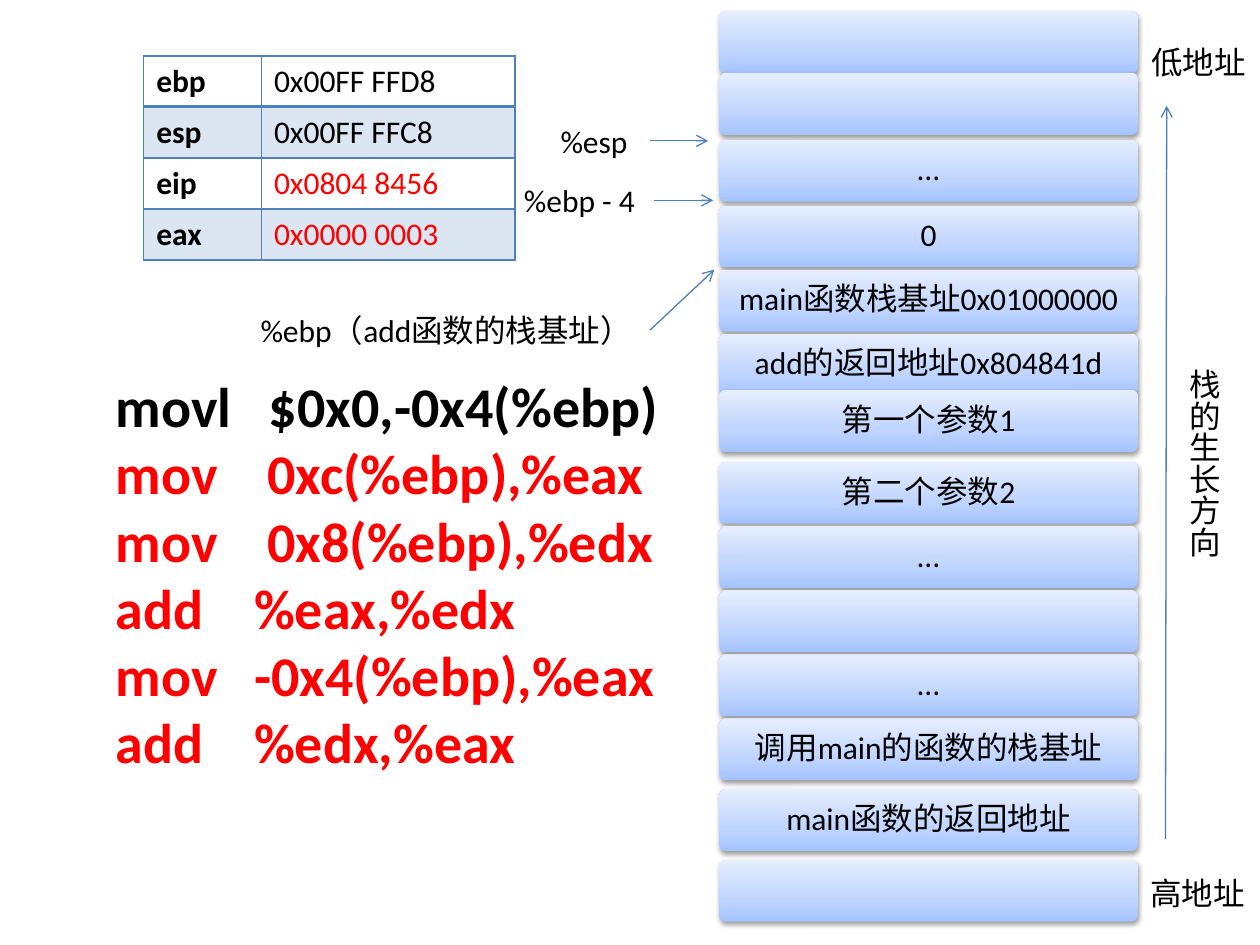
from copy import deepcopy
from lxml.etree import SubElement
from pptx import Presentation
from pptx.dml.color import RGBColor
from pptx.enum.shapes import MSO_CONNECTOR as CONN, MSO_SHAPE as SHAPE
from pptx.enum.text import MSO_ANCHOR as ANCHOR, PP_ALIGN as ALIGN
from pptx.oxml.ns import qn
from pptx.util import Pt

BLACK, RED, BLUE, PALE, ARROW = "000000", "FF0000", "4F81BD", "DCE6F2", "4B7EBC"
BLOCK_STOPS = [(0, "A4C4FF"), (0.35, "BFD4FF"), (1, "E6EEFF")]


def rgb(value):
    """Turn a hex string into a colour."""
    return RGBColor.from_string(value)


def sub(parent, tag, **attrs):
    """Add a DrawingML child element with the given attributes."""
    return SubElement(parent, qn("a:" + tag), {k: str(v) for k, v in attrs.items()})


class StackSlide:
    """Holds the text style and the current slide; lengths are in points."""

    font, size = "Calibri", 18

    def __init__(self, prs):
        """Start a title-only slide."""
        self.s = prs.slides.add_slide(prs.slide_layouts[5])

    def run(self, p, text, color=BLACK, bold=False, size=None):
        """Add one styled run to a paragraph."""
        r = p.add_run()
        r.text = text
        r.font.name, r.font.size, r.font.bold = self.font, Pt(size or self.size), bold
        r.font.color.rgb = rgb(color)

    def code(self, box, lines):
        """Fill the title with tabbed instructions."""
        sp = self.s.shapes.title
        sp.left, sp.top, sp.width, sp.height = map(Pt, box)
        tf = sp.text_frame
        tf.word_wrap, tf.vertical_anchor = True, ANCHOR.MIDDLE
        for i, (op, args, tab, color) in enumerate(lines):
            p = tf.add_paragraph() if i else tf.paragraphs[0]
            p.alignment = ALIGN.LEFT
            tabs = sub(p._p.get_or_add_pPr(), "tabLst")
            sub(tabs, "tab", pos=Pt(tab), algn="l")
            self.run(p, op + "\t" + args, color, True, 32)

    def label(self, text, box, wrap=True, vert=None):
        """Add a plain text label, optionally with vertical text."""
        tf = self.s.shapes.add_textbox(*map(Pt, box)).text_frame
        tf.word_wrap = wrap
        if vert:
            tf._txBody.bodyPr.set("vert", vert)
        self.run(tf.paragraphs[0], text)

    def block(self, text, box):
        """Add one stack cell with a gradient and a soft shadow."""
        sp = self.s.shapes.add_shape(SHAPE.ROUNDED_RECTANGLE, *map(Pt, box))
        sp.adjustments[0] = 0.1
        sp.line.fill.background()
        sp.fill.gradient()
        sp.fill.gradient_angle = 90
        spPr = sp._element.spPr
        stops = spPr.find(".//" + qn("a:gsLst"))
        stops.insert(1, deepcopy(stops[0]))
        for stop, (pos, color) in zip(sp.fill.gradient_stops, BLOCK_STOPS):
            stop.position, stop.color.rgb = pos, rgb(color)
        sp.shadow.inherit = False
        shadow = sub(spPr.find(qn("a:effectLst")), "outerShdw", blurRad=Pt(3.1),
                     dist=Pt(1.6), dir=5400000, rotWithShape=0)
        sub(sub(shadow, "srgbClr", val=BLACK), "alpha", val=38000)
        if text:
            tf = sp.text_frame
            tf.word_wrap, tf.vertical_anchor = True, ANCHOR.MIDDLE
            tf.margin_left = tf.margin_right = tf.margin_top = tf.margin_bottom = Pt(6.5)
            p = tf.paragraphs[0]
            p.alignment, p.line_spacing = ALIGN.CENTER, 0.9
            self.run(p, text)

    def arrow(self, x1, y1, x2, y2):
        """Draw a thin line with an open head at its end."""
        c = self.s.shapes.add_connector(CONN.STRAIGHT, Pt(x1), Pt(y1), Pt(x2), Pt(y2))
        c.line.width, c.line.color.rgb = Pt(0.75), rgb(ARROW)
        sub(c.line._get_or_add_ln(), "tailEnd", type="arrow")
        sub(c._element.spPr, "effectLst")

    def registers(self, rows, x, y, widths, height):
        """Add the banded register table."""
        frame = self.s.shapes.add_table(len(rows), len(widths), Pt(x), Pt(y),
                                        Pt(sum(widths)), Pt(height * len(rows)))
        table = frame.table
        for col, width in zip(table.columns, widths):
            col.width = Pt(width)
        for i, (name, value, color) in enumerate(rows):
            table.rows[i].height = Pt(height)
            self.cell(table.cell(i, 0), name, BLACK, True, i)
            self.cell(table.cell(i, 1), value, color, False, i)

    def cell(self, cell, text, color, bold, row):
        """Write one cell with its borders and band."""
        self.run(cell.text_frame.paragraphs[0], text, color, bold)
        tcPr = cell._tc.get_or_add_tcPr()
        thick = {"lnT": row == 1, "lnB": row == 0}
        for side in ("lnL", "lnR", "lnT", "lnB"):
            ln = sub(tcPr, side, w=Pt(2 if thick.get(side) else 1))
            sub(sub(ln, "solidFill"), "srgbClr", val=BLUE)
        if row % 2:
            cell.fill.solid()
            cell.fill.fore_color.rgb = rgb(PALE)
        else:
            cell.fill.background()


def main():
    """Build the stack slide."""
    prs = Presentation()
    prs.slide_width, prs.slide_height = Pt(720), Pt(540)
    slide = StackSlide(prs)

    stack = [
        (6.5, ""), (41.8, ""), (79.9, "…"), (117.5, "0"),
        (154.2, "main函数栈基址0x01000000"), (190.6, "add的返回地址0x804841d"),
        (223, "第一个参数1"), (264, "第二个参数2"), (300.8, "…"), (337.4, ""),
        (374, "…"), (410.6, "调用main的函数的栈基址"),
        (451, "main函数的返回地址"), (491.3, ""),
    ]
    for top, text in stack:
        slide.block(text, (411.1, top, 239, 35.3))

    slide.label("栈的生长方向", (666.7, 203.8, 36, 116.6), False, "eaVert")
    slide.label("低地址", (650.9, 20.9, 69, 29), False)
    slide.label("高地址", (650.2, 496, 69, 29), False)
    slide.label("%ebp（add函数的栈基址）", (141.8, 174.2, 229, 29))
    slide.label("%esp", (313.2, 66.2, 58.3, 29))
    slide.label("%ebp - 4", (292.3, 100.1, 81.4, 29))

    for ends in [(666, 479.5, 666.7, 60.5), (371.5, 188.6, 408.2, 154.1),
                 (371.5, 80.5, 404.6, 80.5), (373.7, 114.5, 407.5, 114.5)]:
        slide.arrow(*ends)

    slide.code((59, 203.8, 329, 247.7), [
        ("movl", "$0x0,-0x4(%ebp)", 87.5, BLACK),
        ("mov", "0xc(%ebp),%eax", 86.5, RED),
        ("mov", "0x8(%ebp),%edx", 86.5, RED),
        ("add", "%eax,%edx", 79, RED),
        ("mov", "-0x4(%ebp),%eax", 79, RED),
        ("add", "%edx,%eax", 79, RED),
    ])
    slide.registers([
        ("ebp", "0x00FF FFD8", BLACK), ("esp", "0x00FF FFC8", BLACK),
        ("eip", "0x0804 8456", RED), ("eax", "0x0000 0003", RED),
    ], 82.1, 31.9, (67.3, 145), 29.2)
    prs.save("out.pptx")


main()
